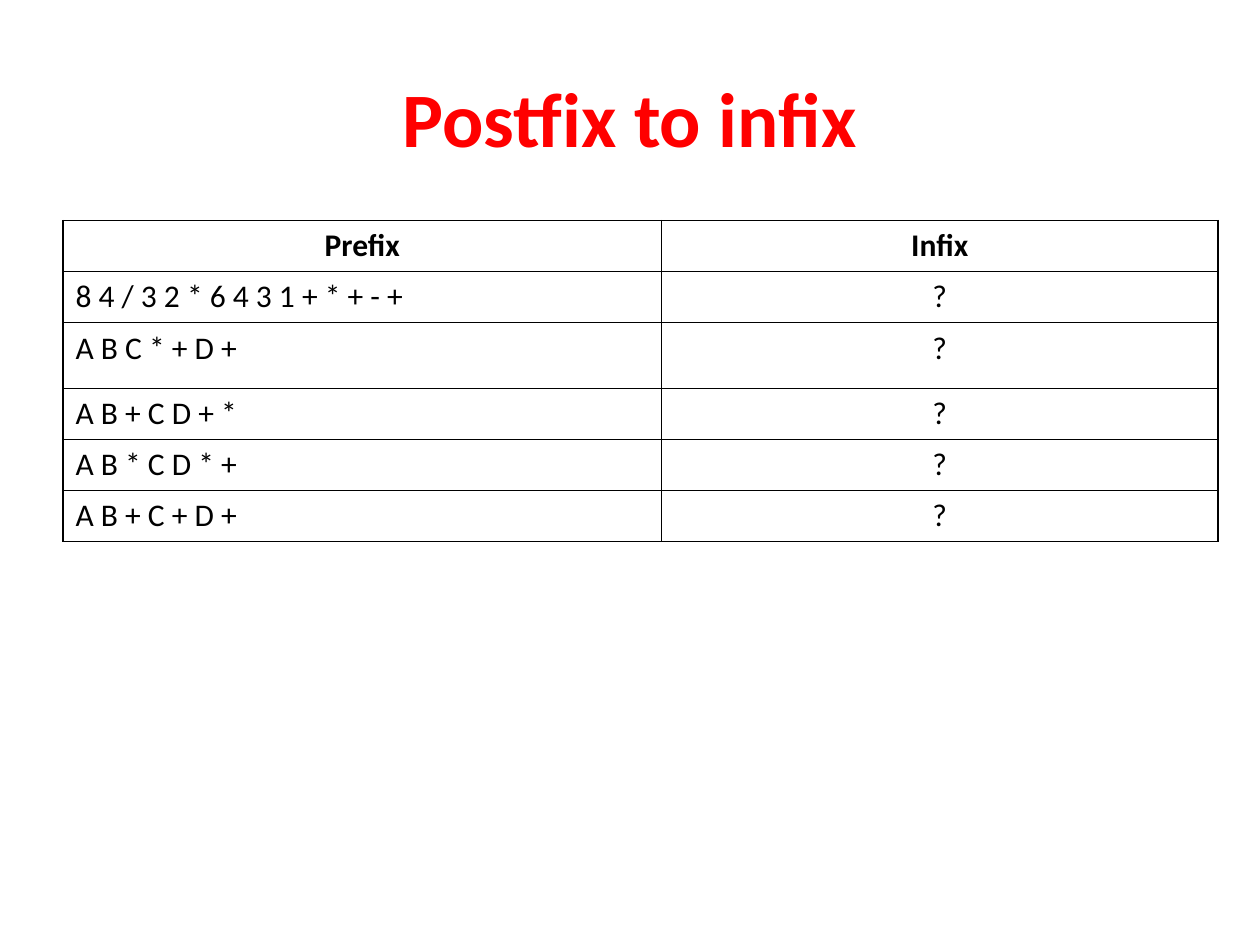
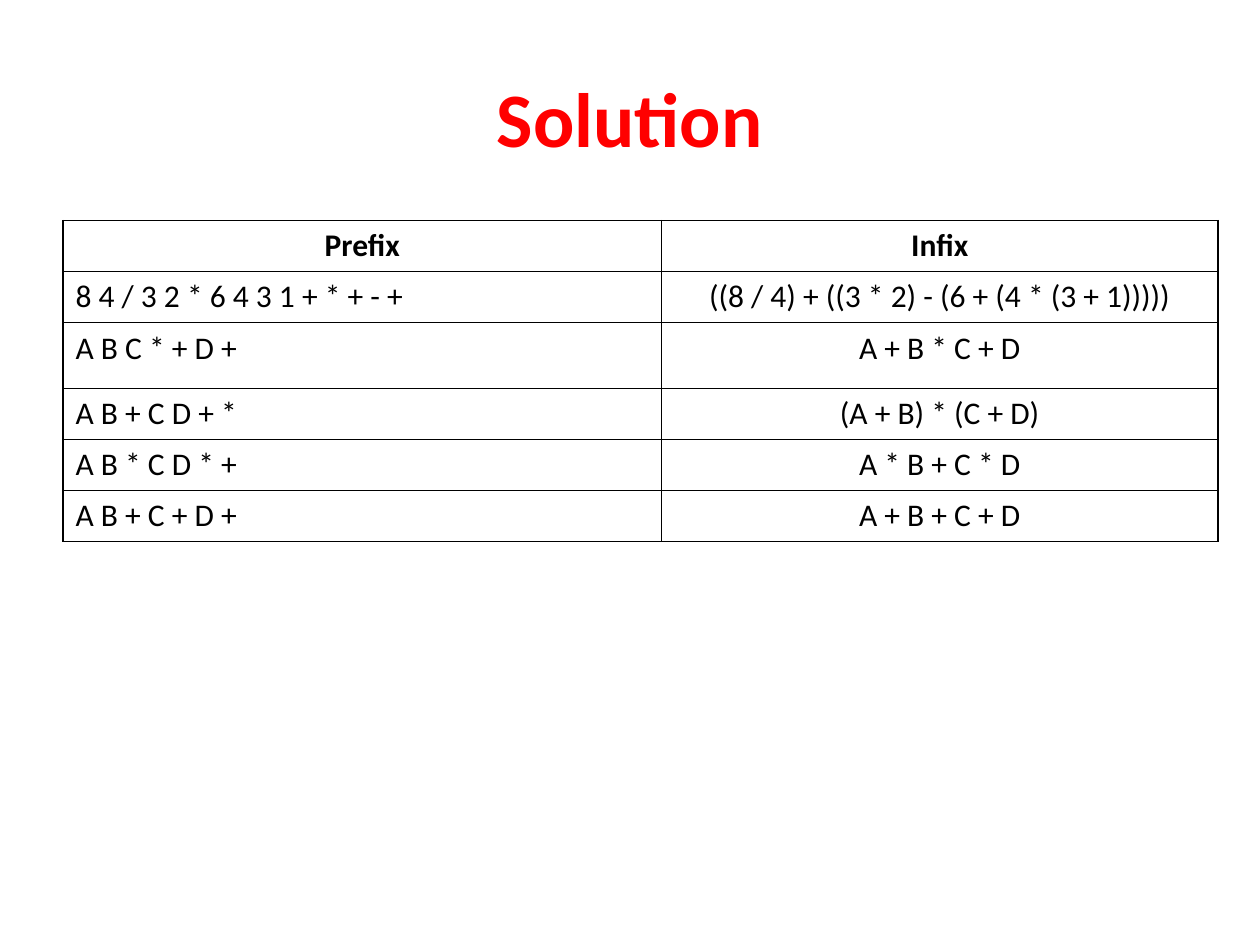
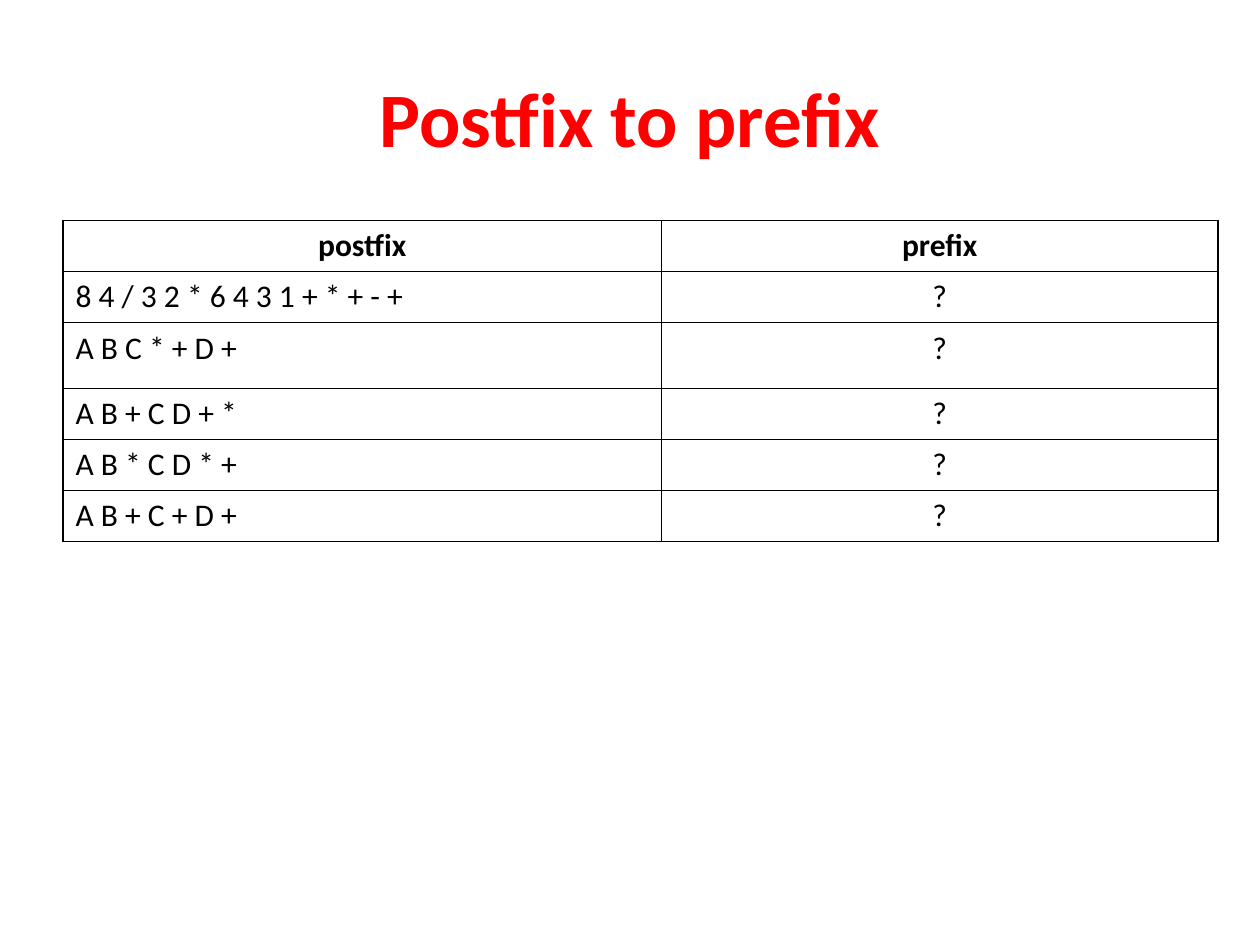
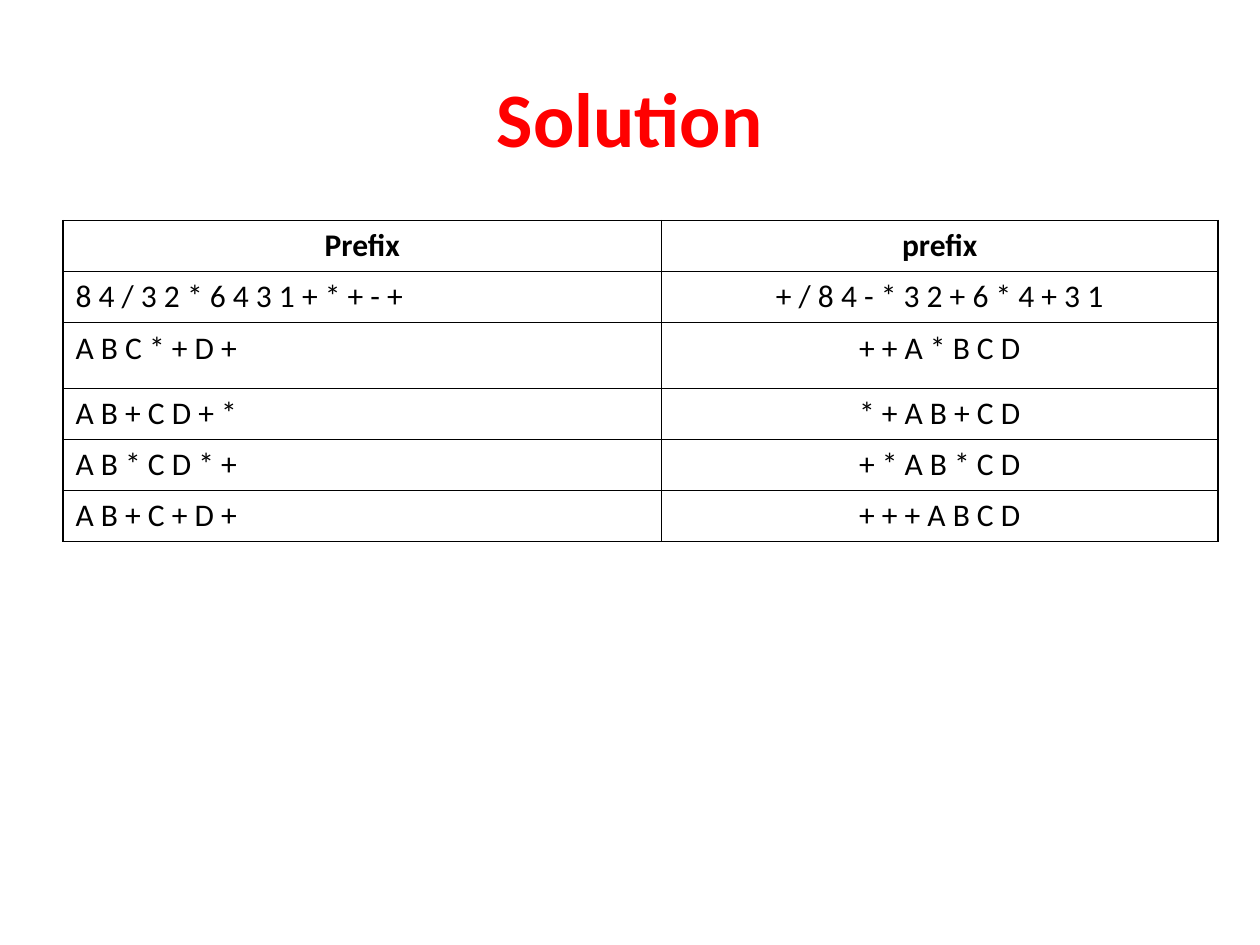
from dataclasses import dataclass

from lxml.etree import SubElement
from pptx import Presentation
from pptx.dml.color import RGBColor
from pptx.enum.text import MSO_ANCHOR, PP_ALIGN
from pptx.oxml.ns import qn
from pptx.util import Pt


@dataclass(frozen=True)
class Theme:
    font: str = "Calibri"
    title_color: str = "FF0000"
    text_color: str = "000000"
    border_color: str = "000000"
    cell_color: str = "FFFFFF"
    title_size: float = 44
    cell_size: float = 18
    border_width: float = 1


TITLE_BOX = (36, 21.6, 648, 90)
TABLE_ORIGIN = (36, 126)
COLUMN_WIDTHS = (342, 318)
ROW_HEIGHTS = (29.2, 29.2, 37.6, 29.2, 29.2, 29.2)

POSTFIX_EXPRESSIONS = (
    "8 4 / 3 2 * 6 4 3 1 + * + - +",
    "A B C * + D +",
    "A B + C D + *",
    "A B * C D * +",
    "A B + C + D +",
)
UNSOLVED = ("?",) * len(POSTFIX_EXPRESSIONS)
INFIX_ANSWERS = (
    "((8 / 4) + ((3 * 2) - (6 + (4 * (3 + 1)))))",
    "A + B * C + D",
    "(A + B) * (C + D)",
    "A * B + C * D",
    "A + B + C + D",
)
PREFIX_ANSWERS = (
    "+ / 8 4 - * 3 2 + 6 * 4 + 3 1",
    "+ + A * B C D",
    "* + A B + C D",
    "+ * A B * C D",
    "+ + + A B C D",
)

EXERCISES = (
    ("Postfix to infix", ("Prefix", "Infix"), UNSOLVED),
    ("Solution", ("Prefix", "Infix"), INFIX_ANSWERS),
    ("Postfix to prefix", ("postfix", "prefix"), UNSOLVED),
    ("Solution", ("Prefix", "prefix"), PREFIX_ANSWERS),
)


class Deck:
    def __init__(self, theme):
        self.theme = theme
        self.presentation = Presentation()
        self.presentation.slide_width = Pt(720)
        self.presentation.slide_height = Pt(540)
        self.slide = None

    def add_slide(self):
        blank_layout = self.presentation.slide_layouts[6]
        self.slide = self.presentation.slides.add_slide(blank_layout)

    def add_text(self, text_frame, text, color, alignment, **font_format):
        paragraph = text_frame.paragraphs[0]
        paragraph.alignment = alignment
        run = paragraph.add_run()
        run.text = text
        for name, value in {"name": self.theme.font, **font_format}.items():
            setattr(run.font, name, value)
        run.font.color.rgb = RGBColor.from_string(color)

    def add_title(self, text):
        shape = self.slide.shapes.add_textbox(*map(Pt, TITLE_BOX))
        text_frame = shape.text_frame
        text_frame.word_wrap = True
        text_frame.vertical_anchor = MSO_ANCHOR.MIDDLE
        self.add_text(text_frame, text, self.theme.title_color, PP_ALIGN.CENTER,
                      size=Pt(self.theme.title_size), bold=True)

    def add_border(self, cell):
        properties = cell._tc.get_or_add_tcPr()
        for position, tag in enumerate(("a:lnL", "a:lnR", "a:lnT", "a:lnB")):
            line = properties.makeelement(
                qn(tag), {"w": str(Pt(self.theme.border_width))})
            fill = SubElement(line, qn("a:solidFill"))
            SubElement(fill, qn("a:srgbClr"), val=self.theme.border_color)
            properties.insert(position, line)

    def add_table(self, rows):
        """Draw the rows with a bold header and a centred second column."""
        size = (sum(COLUMN_WIDTHS), sum(ROW_HEIGHTS))
        table = self.slide.shapes.add_table(
            len(rows), len(COLUMN_WIDTHS), *map(Pt, TABLE_ORIGIN + size)).table
        table.first_row = table.horz_banding = False
        for column, width in zip(table.columns, COLUMN_WIDTHS):
            column.width = Pt(width)
        for row, height in zip(table.rows, ROW_HEIGHTS):
            row.height = Pt(height)
        for row_index, texts in enumerate(rows):
            is_header = row_index == 0
            for column_index, text in enumerate(texts):
                cell = table.cell(row_index, column_index)
                cell.fill.solid()
                cell.fill.fore_color.rgb = RGBColor.from_string(self.theme.cell_color)
                self.add_border(cell)
                centred = is_header or column_index == 1
                self.add_text(cell.text_frame, text, self.theme.text_color,
                              PP_ALIGN.CENTER if centred else PP_ALIGN.LEFT,
                              size=Pt(self.theme.cell_size), bold=is_header)


def main():
    deck = Deck(Theme())
    for title, header, answers in EXERCISES:
        deck.add_slide()
        deck.add_title(title)
        deck.add_table([header, *zip(POSTFIX_EXPRESSIONS, answers)])
    deck.presentation.save("out.pptx")


if __name__ == "__main__":
    main()
